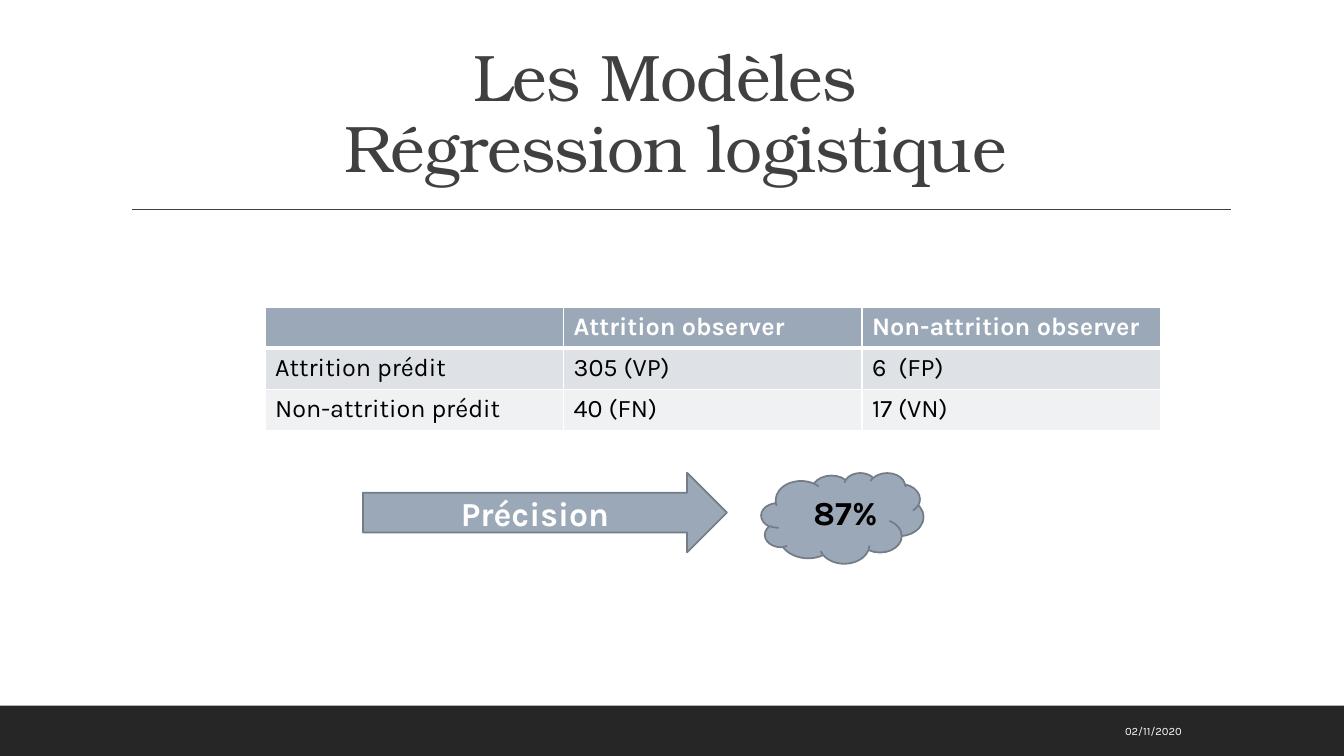
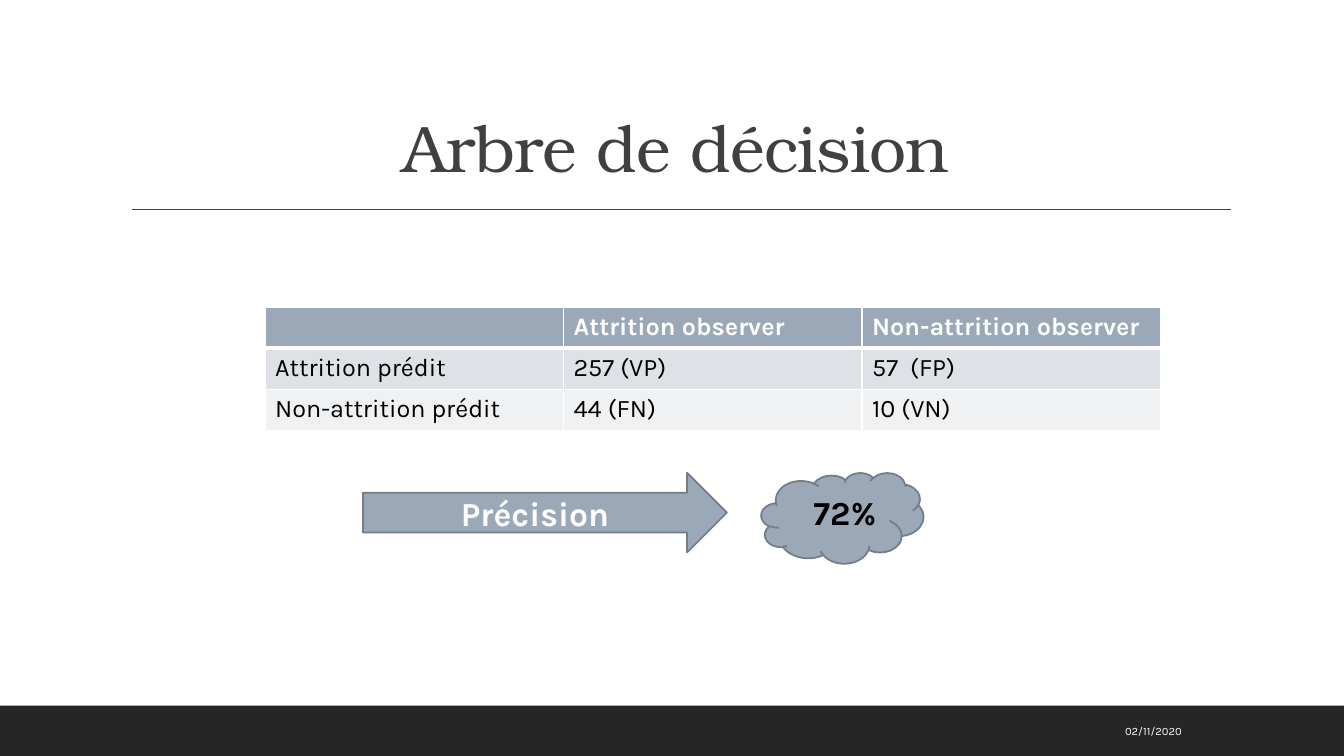
import pptx
import pptx.dml.color
import pptx.enum.shapes
import pptx.enum.text
import pptx.oxml
import pptx.oxml.ns
import pptx.util
from lxml import etree

Inches, Pt = pptx.util.Inches, pptx.util.Pt
RGBColor = pptx.dml.color.RGBColor
MSO_SHAPE = pptx.enum.shapes.MSO_SHAPE
PP_ALIGN = pptx.enum.text.PP_ALIGN
MSO_ANCHOR = pptx.enum.text.MSO_ANCHOR
qn = pptx.oxml.ns.qn

WHITE = RGBColor(0xFF, 0xFF, 0xFF)
BLACK = RGBColor(0x00, 0x00, 0x00)
CHARCOAL = RGBColor(0x40, 0x40, 0x40)
BAND = RGBColor(0x26, 0x26, 0x26)
SLATE = RGBColor(0x9B, 0xA8, 0xB7)
SLATE_EDGE = RGBColor(0x73, 0x7C, 0x87)
ROW_FILLS = [SLATE, RGBColor(0xDE, 0xE1, 0xE6), RGBColor(0xEF, 0xF1, 0xF3)]

TITLE_FONT, BODY_FONT = "TeX Gyre Bonum", "Karla"
DATE = "02/11/2020"
HEADER = ["", "Attrition observer", "Non-attrition observer"]
COLUMN_WIDTH, ROW_HEIGHTS = 2.96, [0.38, 0.41, 0.41]

MODELS = [
    {
        "title": "Les Modèles\t\vRégression logistique",
        "rows": [
            ["Attrition prédit", "305 (VP)", "6  (FP)"],
            ["Non-attrition prédit", "40 (FN)", "17 (VN)"],
        ],
        "precision": "87%",
    },
    {
        "title": "Arbre de décision",
        "rows": [
            ["Attrition prédit", "257 (VP)", "57  (FP)"],
            ["Non-attrition prédit", "44 (FN)", "10 (VN)"],
        ],
        "precision": "72%",
    },
]


def box(left, top, width, height):
    return Inches(left), Inches(top), Inches(width), Inches(height)


def set_text(frame, text, size, color, bold=False, font=BODY_FONT,
             align=PP_ALIGN.LEFT, anchor=MSO_ANCHOR.TOP):
    frame.text = text
    frame.word_wrap = True
    frame.vertical_anchor = anchor
    paragraph = frame.paragraphs[0]
    paragraph.alignment = align
    paragraph.font.name = font
    paragraph.font.size = Pt(size)
    paragraph.font.bold = bold
    paragraph.font.color.rgb = color
    return paragraph


def add_figure(slide, preset, place, fill, edge=None):
    figure = slide.shapes.add_shape(preset, *box(*place))
    figure.shadow.inherit = False
    figure.fill.solid()
    figure.fill.fore_color.rgb = fill
    if edge is None:
        figure.line.fill.background()
    else:
        figure.line.color.rgb = edge
        figure.line.width = Pt(1.25)
    return figure


def add_text(slide, place, text, size, color, **style):
    label = slide.shapes.add_textbox(*box(*place))
    set_text(label.text_frame, text, size, color, **style)


def move_frame_to_layout(slide):
    """Draw the footer band and title rule, then hand them to the layout."""
    band = add_figure(slide, MSO_SHAPE.RECTANGLE, (0, 7, 13.33, 0.5), BAND)
    rule = slide.shapes.add_connector(
        pptx.enum.shapes.MSO_CONNECTOR.STRAIGHT,
        Inches(1.31), Inches(2.08), Inches(12.21), Inches(2.08))
    rule.line.color.rgb = CHARCOAL
    rule.line.width = Pt(1)
    etree.SubElement(rule.element.spPr, qn("a:effectLst"))
    for part in (band, rule):
        slide.slide_layout.shapes.element.append(part.element)


def set_title(slide, text):
    title = slide.shapes.title
    title.left, title.top, title.width, title.height = box(1.2, 0.31, 11, 1.59)
    title.text_frame.auto_size = pptx.enum.text.MSO_AUTO_SIZE.NONE
    paragraph = set_text(title.text_frame, text, 47, CHARCOAL, font=TITLE_FONT,
                         align=PP_ALIGN.CENTER, anchor=MSO_ANCHOR.BOTTOM)
    paragraph.line_spacing = 0.9
    for properties in title.element.iter(qn("a:defRPr"), qn("a:rPr")):
        properties.set("spc", "-50")


def set_borders(cell, bottom_width):
    properties = cell._tc.get_or_add_tcPr()
    for side, width in (("L", 1), ("R", 1), ("T", 1), ("B", bottom_width)):
        line = etree.SubElement(properties, qn("a:ln" + side), w=str(Pt(width)))
        fill = etree.SubElement(line, qn("a:solidFill"))
        etree.SubElement(fill, qn("a:srgbClr"), val=str(WHITE))


def add_confusion_matrix(slide, rows):
    matrix = slide.shapes.add_table(
        len(rows), len(HEADER),
        *box(2.63, 3.05, COLUMN_WIDTH * len(HEADER), sum(ROW_HEIGHTS))).table
    for column in matrix.columns:
        column.width = Inches(COLUMN_WIDTH)
    for r, texts in enumerate(rows):
        is_header = r == 0
        matrix.rows[r].height = Inches(ROW_HEIGHTS[r])
        for c, text in enumerate(texts):
            cell = matrix.cell(r, c)
            set_borders(cell, 3 if is_header else 1)
            cell.fill.solid()
            cell.fill.fore_color.rgb = ROW_FILLS[r]
            set_text(cell.text_frame, text, 18,
                     WHITE if is_header else BLACK, bold=is_header)


def add_precision(slide, value):
    add_figure(slide, MSO_SHAPE.CLOUD, (7.55, 4.69, 1.61, 0.9), SLATE, SLATE_EDGE)
    arrow = add_figure(slide, MSO_SHAPE.RIGHT_ARROW, (3.6, 4.69, 3.61, 0.79),
                       SLATE, SLATE_EDGE)
    set_text(arrow.text_frame, "Précision", 24, WHITE, bold=True,
             align=PP_ALIGN.CENTER, anchor=MSO_ANCHOR.MIDDLE)
    add_text(slide, (7.97, 4.83, 4.4, 0.5), value, 24, BLACK, bold=True)


def main():
    deck = pptx.Presentation()
    deck.slide_width, deck.slide_height = Inches(13.33), Inches(7.5)
    title_only = deck.slide_layouts[5]
    for number, model in enumerate(MODELS):
        slide = deck.slides.add_slide(title_only)
        if number == 0:
            move_frame_to_layout(slide)
        set_title(slide, model["title"])
        add_text(slide, (8.99, 7.05, 2.83, 0.4), DATE, 8, WHITE,
                 align=PP_ALIGN.RIGHT, anchor=MSO_ANCHOR.MIDDLE)
        add_confusion_matrix(slide, [HEADER] + model["rows"])
        add_precision(slide, model["precision"])
    deck.save("out.pptx")


if __name__ == "__main__":
    main()
